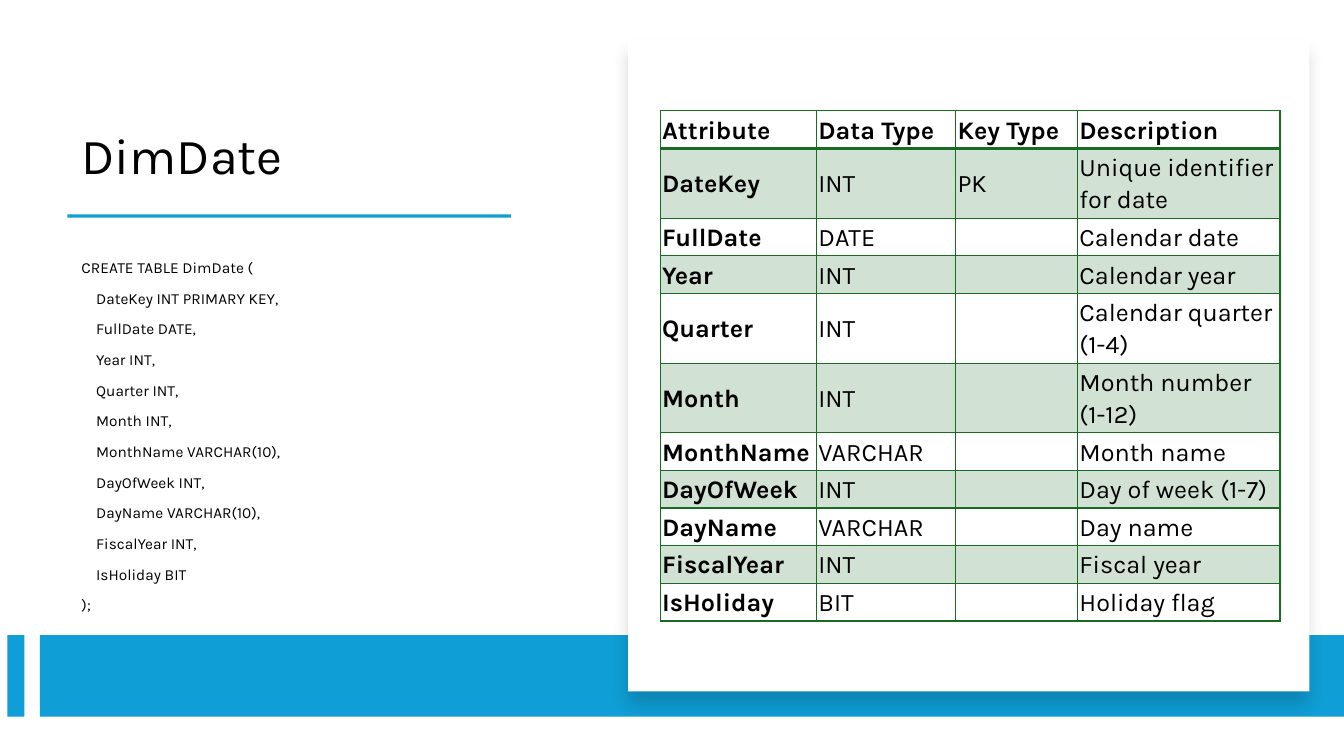
from dataclasses import dataclass
from typing import Any

from lxml.etree import SubElement
from pptx import Presentation
from pptx.dml.color import RGBColor
from pptx.enum.shapes import MSO_AUTO_SHAPE_TYPE as ShapeType
from pptx.enum.text import MSO_VERTICAL_ANCHOR as Anchor
from pptx.oxml import parse_xml
from pptx.oxml.ns import nsdecls, qn
from pptx.slide import Slide
from pptx.table import _Cell as Cell
from pptx.text.text import _Paragraph as Paragraph
from pptx.util import Pt

BLACK = RGBColor(0x00, 0x00, 0x00)
WHITE = RGBColor(0xFF, 0xFF, 0xFF)
BLUE = RGBColor(0x0F, 0x9E, 0xD5)
GREEN = RGBColor(0x19, 0x6B, 0x24)
FONT = "Karla"

CODE = """CREATE TABLE DimDate (
    DateKey INT PRIMARY KEY,
    FullDate DATE,
    Year INT,
    Quarter INT,
    Month INT,
    MonthName VARCHAR(10),
    DayOfWeek INT,
    DayName VARCHAR(10),
    FiscalYear INT,
    IsHoliday BIT
);"""

HEADINGS = ("Attribute", "Data Type", "Key Type", "Description")
COLUMN_WIDTHS = (111.6, 99.4, 87.1, 144.7)
ROW_HEIGHT = 26.9
TALL_ROW_HEIGHT = 49.8


@dataclass(frozen=True)
class Block:
    left: float
    top: float
    width: float
    height: float
    color: RGBColor
    shadow: bool = False


@dataclass(frozen=True)
class TextArea:
    left: float
    top: float
    width: float
    height: float
    text: str
    size: float
    anchor: Anchor
    gap: float = 0


@dataclass(frozen=True)
class Attribute:
    name: str
    data_type: str
    description: str
    key_type: str = ""
    height: float = ROW_HEIGHT

    def texts(self) -> tuple[str, ...]:
        return self.name, self.data_type, self.key_type, self.description


BLOCKS = (
    Block(48.2, 153.2, 316.8, 2.2, BLUE),
    Block(5.3, 453.6, 12.2, 58.3, BLUE),
    Block(28.4, 453.6, 931.6, 58.3, BLUE),
    Block(448.6, 28.1, 486.7, 465.8, WHITE, shadow=True),
)

TEXT_AREAS = (
    TextArea(51.1, 41.8, 337, 94.3, "DimDate", 36, Anchor.BOTTOM),
    TextArea(51.1, 185, 337, 254.6, CODE, 11, Anchor.MIDDLE, gap=10),
)

ATTRIBUTES = (
    Attribute("DateKey", "INT", "Unique identifier for date", "PK", TALL_ROW_HEIGHT),
    Attribute("FullDate", "DATE", "Calendar date"),
    Attribute("Year", "INT", "Calendar year"),
    Attribute("Quarter", "INT", "Calendar quarter (1-4)", height=TALL_ROW_HEIGHT),
    Attribute("Month", "INT", "Month number (1-12)", height=TALL_ROW_HEIGHT),
    Attribute("MonthName", "VARCHAR", "Month name"),
    Attribute("DayOfWeek", "INT", "Day of week (1-7)"),
    Attribute("DayName", "VARCHAR", "Day name"),
    Attribute("FiscalYear", "INT", "Fiscal year"),
    Attribute("IsHoliday", "BIT", "Holiday flag"),
)


def apply_format(target: Any, values: dict[str, Any]) -> None:
    for name, value in values.items():
        setattr(target, name, value)


def style_font(para: Paragraph, size: float, bold: bool = False) -> None:
    apply_format(para.font, {"name": FONT, "size": Pt(size), "bold": bold})
    para.font.color.rgb = BLACK


def draw_block(page: Slide, block: Block) -> None:
    shape = page.shapes.add_shape(
        ShapeType.RECTANGLE,
        Pt(block.left), Pt(block.top), Pt(block.width), Pt(block.height),
    )
    shape.fill.solid()
    shape.fill.fore_color.rgb = block.color
    shape.line.fill.background()
    shape.shadow.inherit = False
    if block.shadow:
        effects = shape._element.spPr.find(qn("a:effectLst"))
        effects.append(parse_xml(
            f'<a:outerShdw {nsdecls("a")} blurRad="{Pt(11)}" dist="{Pt(10)}" '
            f'dir="5400000" algn="t" rotWithShape="0"><a:srgbClr val="{BLACK}">'
            '<a:alpha val="15000"/></a:srgbClr></a:outerShdw>'
        ))


def draw_text(page: Slide, area: TextArea) -> None:
    box = page.shapes.add_textbox(
        Pt(area.left), Pt(area.top), Pt(area.width), Pt(area.height)
    )
    frame = box.text_frame
    apply_format(frame, {
        "word_wrap": True, "vertical_anchor": area.anchor, "text": area.text,
    })
    for index, para in enumerate(frame.paragraphs):
        spacing = {"line_spacing": 0.9, "space_before": Pt(area.gap if index else 0)}
        apply_format(para, spacing)
        style_font(para, area.size)


def draw_borders(cell: Cell, widths: dict[str, float]) -> None:
    properties = cell._tc.get_or_add_tcPr()
    for index, (side, width) in enumerate(widths.items()):
        properties.insert(index, parse_xml(
            f'<a:ln{side} {nsdecls("a")} w="{Pt(width)}"><a:solidFill>'
            f'<a:srgbClr val="{GREEN}"/></a:solidFill></a:ln{side}>'
        ))


def fill_cell(cell: Cell, shaded: bool) -> None:
    if not shaded:
        cell.fill.background()
        return
    cell.fill.solid()
    cell.fill.fore_color.rgb = GREEN
    color = cell._tc.tcPr.find(f"{qn('a:solidFill')}/{qn('a:srgbClr')}")
    SubElement(color, qn("a:alpha")).set("val", "20000")


def draw_table(page: Slide) -> None:
    rows = [HEADINGS, *(attribute.texts() for attribute in ATTRIBUTES)]
    heights = [ROW_HEIGHT, *(attribute.height for attribute in ATTRIBUTES)]
    table = page.shapes.add_table(
        len(rows), len(HEADINGS), Pt(471.6), Pt(79.2),
        Pt(sum(COLUMN_WIDTHS)), Pt(sum(heights)),
    ).table
    apply_format(table, {"first_row": False, "horz_banding": False})
    for column, width in zip(table.columns, COLUMN_WIDTHS):
        column.width = Pt(width)
    margins = {f"margin_{side}": Pt(1.4) for side in ("left", "right", "top", "bottom")}
    for row_index, (texts, height) in enumerate(zip(rows, heights)):
        table.rows[row_index].height = Pt(height)
        for column_index, text in enumerate(texts):
            cell = table.cell(row_index, column_index)
            apply_format(cell, {
                **margins, "vertical_anchor": Anchor.MIDDLE, "text": text,
            })
            para = cell.text_frame.paragraphs[0]
            apply_format(para, {"line_spacing": 1.07, "space_after": Pt(12)})
            style_font(para, 18, bold=row_index == 0 or column_index == 0)
            fill_cell(cell, shaded=row_index % 2 == 1)
            draw_borders(cell, {
                "L": 1, "R": 1,
                "T": 2 if row_index == 1 else 1,
                "B": 2 if row_index == 0 else 1,
            })


def main() -> None:
    deck = Presentation()
    apply_format(deck, {"slide_width": Pt(960), "slide_height": Pt(540)})
    page = deck.slides.add_slide(deck.slide_layouts[6])
    for block in BLOCKS:
        draw_block(page, block)
    for area in TEXT_AREAS:
        draw_text(page, area)
    draw_table(page)
    deck.save("out.pptx")


if __name__ == "__main__":
    main()
